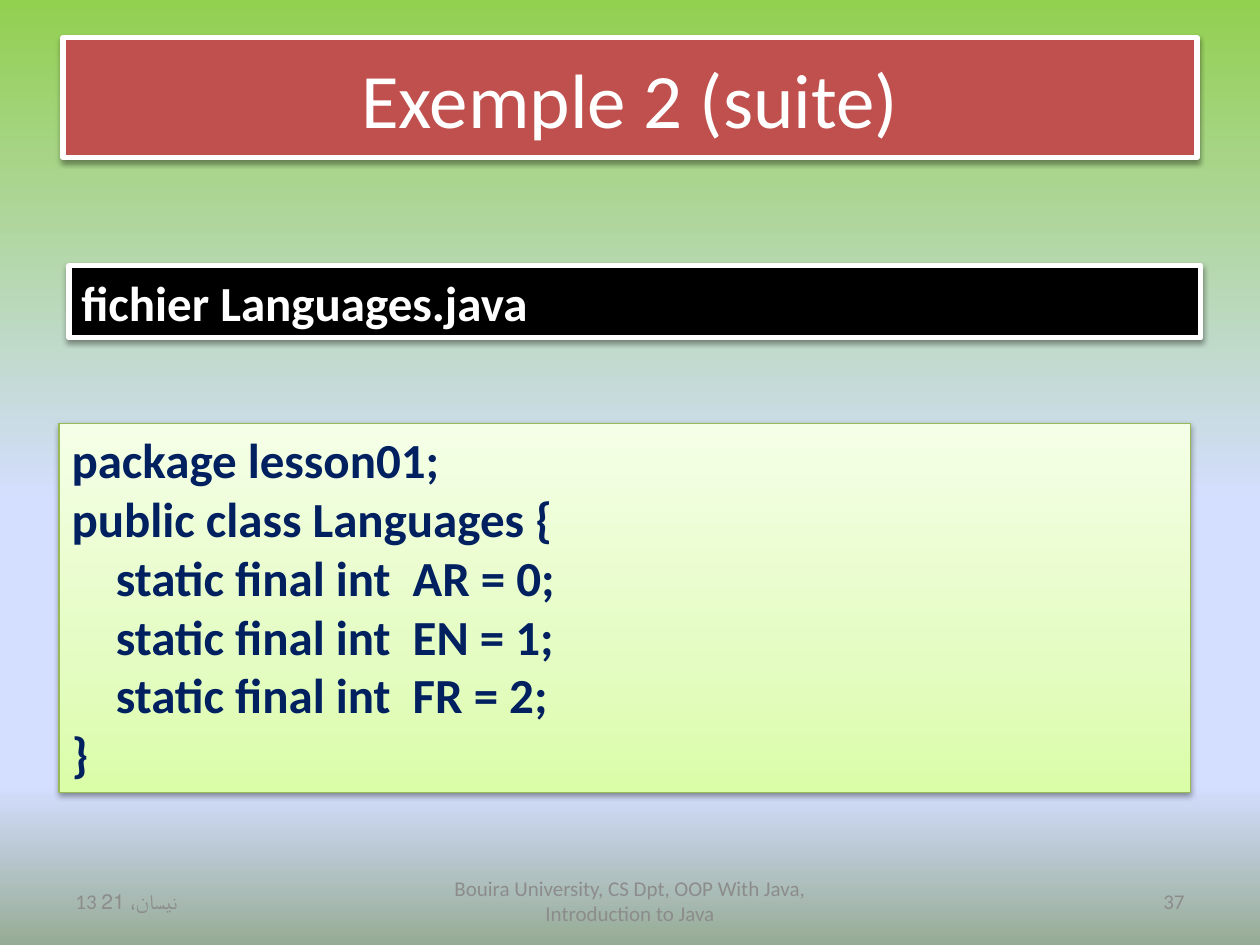
from lxml import etree
from pptx import Presentation
from pptx.dml.color import RGBColor
from pptx.enum.shapes import MSO_SHAPE
from pptx.enum.text import MSO_ANCHOR, PP_ALIGN
from pptx.oxml.ns import qn
from pptx.util import Pt

RECTANGLE = MSO_SHAPE.RECTANGLE
TOP, MIDDLE = MSO_ANCHOR.TOP, MSO_ANCHOR.MIDDLE
LEFT, CENTER, RIGHT = PP_ALIGN.LEFT, PP_ALIGN.CENTER, PP_ALIGN.RIGHT

COLORS = {
    "white": "FFFFFF",
    "black": "000000",
    "title": "C0504D",
    "code": "002060",
    "code_border": "98B955",
    "footer": "8C8C8C",
}
SKY_STOPS = [(0, "92D050"), (53, "D4DEFF"), (83, "D4DEFF"), (100, "96AB94")]
CODE_STOPS = [(0, "DAFDA7"), (35, "E4FCC2"), (100, "F5FFE7")]

CODE_LINES = [
    "package lesson01;",
    "public class Languages {",
    "    static final int  AR = 0;",
    "    static final int  EN = 1;",
    "    static final int  FR = 2;",
    "}",
]

TITLE_FORMAT = {"size": Pt(44), "bold": False}
BODY_FORMAT = {"size": Pt(28), "bold": True}
FOOTER_FORMAT = {"size": Pt(12), "bold": False}


def rgb(name):
    return RGBColor.from_string(COLORS[name])


def add_color(parent, value):
    return etree.SubElement(parent, qn("a:srgbClr"), val=value)


def set_gradient(fill, owner, stops, angle):
    """Fill with (percent, hex) stops; the angle runs counter-clockwise."""
    fill.gradient()
    fill.gradient_angle = angle
    stop_list = next(owner.iter(qn("a:gsLst")))
    for old_stop in list(stop_list):
        stop_list.remove(old_stop)
    for percent, value in stops:
        stop = etree.SubElement(stop_list, qn("a:gs"), pos=str(percent * 1000))
        add_color(stop, value)


def add_shadow(panel):
    panel.shadow.inherit = False
    effects = panel.element.spPr.find(qn("a:effectLst"))
    shadow = etree.SubElement(
        effects, qn("a:outerShdw"), blurRad=str(Pt(3.1)), dist=str(Pt(1.6)),
        dir="5400000", rotWithShape="0")
    etree.SubElement(add_color(shadow, COLORS["black"]), qn("a:alpha"), val="38000")


def write_lines(frame, lines, text_format, color, align, anchor):
    frame.word_wrap = True
    frame.vertical_anchor = anchor
    for index, line in enumerate(lines):
        paragraph = frame.add_paragraph() if index else frame.paragraphs[0]
        paragraph.alignment = align
        run = paragraph.add_run()
        run.text = line
        run.font.name = "Calibri"
        run.font.color.rgb = rgb(color)
        for attribute, value in text_format.items():
            setattr(run.font, attribute, value)


def add_panel(slide, box, fill, border, border_width):
    """Add a shadowed rectangle filled with a colour name or a list of stops."""
    panel = slide.shapes.add_shape(RECTANGLE, *map(Pt, box))
    if isinstance(fill, str):
        panel.fill.solid()
        panel.fill.fore_color.rgb = rgb(fill)
    else:
        set_gradient(panel.fill, panel.element, fill, 90)
    panel.line.color.rgb = rgb(border)
    panel.line.width = Pt(border_width)
    add_shadow(panel)
    return panel.text_frame


def add_footer(slide, left, width, text, align):
    footer = slide.shapes.add_textbox(Pt(left), Pt(500.4), Pt(width), Pt(28.8))
    write_lines(footer.text_frame, [text], FOOTER_FORMAT, "footer", align, MIDDLE)


def main():
    deck = Presentation()
    deck.slide_width, deck.slide_height = Pt(720), Pt(540)
    slide = deck.slides.add_slide(deck.slide_layouts[6])
    set_gradient(slide.background.fill, slide.element, SKY_STOPS, 270)

    title = add_panel(slide, (36, 21.6, 648, 68.4), "title", "white", 3)
    write_lines(title, ["Exemple 2 (suite)"], TITLE_FORMAT, "white", CENTER, MIDDLE)

    file_name = add_panel(slide, (39.4, 151.9, 646.6, 41.2), "black", "white", 3)
    write_lines(file_name, ["fichier Languages.java"], BODY_FORMAT, "white", LEFT, TOP)

    code = add_panel(slide, (33.8, 242, 646.6, 211), CODE_STOPS, "code_border", 0.75)
    write_lines(code, CODE_LINES, BODY_FORMAT, "code", LEFT, TOP)

    add_footer(slide, 246, 228,
               "Bouira University, CS Dpt, OOP With Java, Introduction to Java", CENTER)
    add_footer(slide, 516, 168, "37", RIGHT)
    add_footer(slide, 36, 168, "13 نيسان، 21", LEFT)

    deck.save("out.pptx")


if __name__ == "__main__":
    main()
